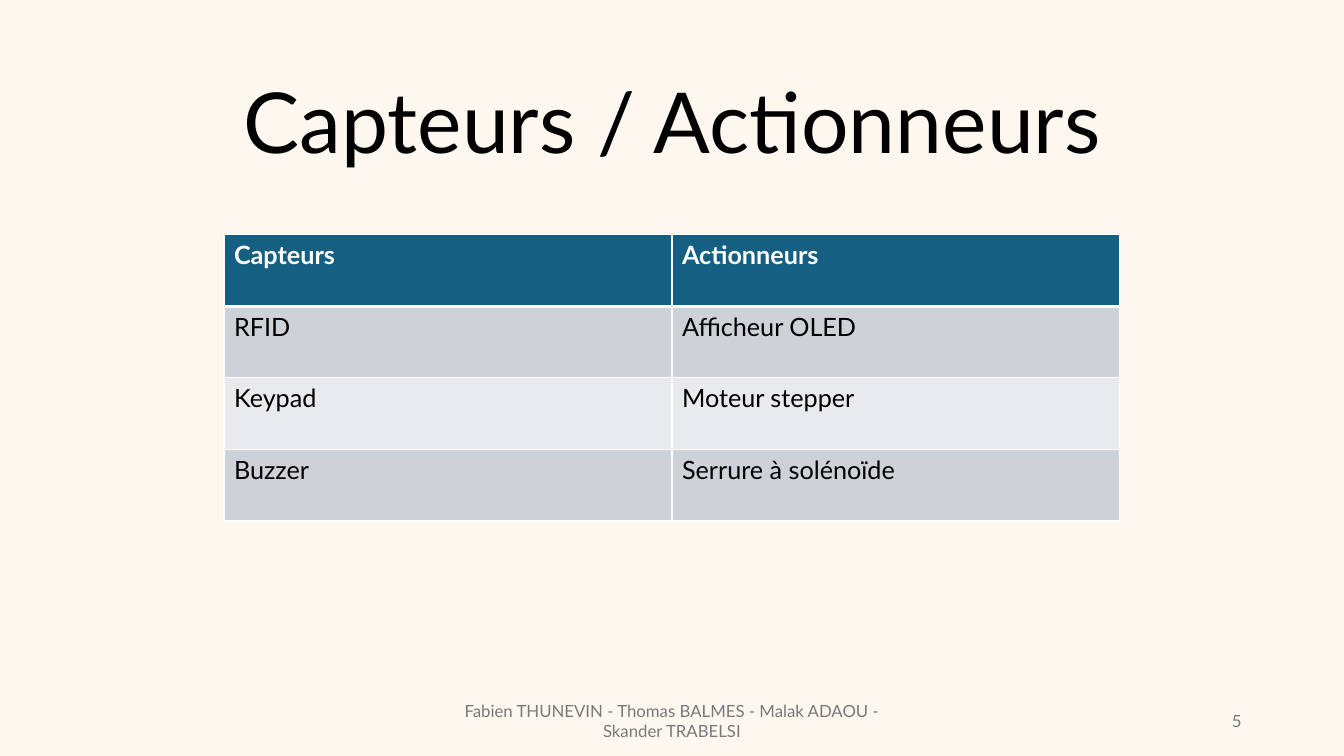
from lxml import etree
from pptx import Presentation
from pptx.dml.color import RGBColor
from pptx.enum.text import MSO_ANCHOR, PP_ALIGN
from pptx.oxml.ns import qn
from pptx.util import Pt

CENTER, RIGHT = PP_ALIGN.CENTER, PP_ALIGN.RIGHT
BOTTOM, MIDDLE = MSO_ANCHOR.BOTTOM, MSO_ANCHOR.MIDDLE
FONT = "Lato"
GREY = "797979"


def color(hex_string):
    return RGBColor.from_string(hex_string)


def add_run(paragraph, text, size, hex_string, bold=False):
    run = paragraph.add_run()
    run.text = text
    run.font.name = FONT
    run.font.size = Pt(size)
    run.font.bold = bold
    run.font.color.rgb = color(hex_string)


presentation = Presentation()
presentation.slide_width = Pt(960)
presentation.slide_height = Pt(540)
slide = presentation.slides.add_slide(presentation.slide_layouts[6])
slide.background.fill.solid()
slide.background.fill.fore_color.rgb = color("FEF7F0")

# Title, footer and slide number
texts = [
    ("Capteurs / Actionneurs", (120, 46.8, 720, 79.2), 60, "000000", CENTER, BOTTOM, 0.9),
    ("Fabien THUNEVIN - Thomas BALMES - Malak ADAOU - Skander TRABELSI",
     (318, 500.5, 324, 28.75), 12, GREY, CENTER, MIDDLE, 1),
    ("5", (678, 500.5, 216, 28.75), 12, GREY, RIGHT, MIDDLE, 1),
]
for text, box, size, text_color, alignment, anchor, line_spacing in texts:
    frame = slide.shapes.add_textbox(*[Pt(length) for length in box]).text_frame
    frame.word_wrap = True
    frame.vertical_anchor = anchor
    paragraph = frame.paragraphs[0]
    paragraph.alignment = alignment
    paragraph.line_spacing = line_spacing
    add_run(paragraph, text, size, text_color)

# Table of sensors and actuators
rows = [
    ("Capteurs", "Actionneurs"),
    ("RFID", "Afficheur OLED"),
    ("Keypad", "Moteur stepper"),
    ("Buzzer", "Serrure à solénoïde"),
]
table = slide.shapes.add_table(
    len(rows), 2, Pt(160), Pt(167.75), Pt(640), Pt(204.4)).table
for row_index, row in enumerate(rows):
    header = row_index == 0
    band = "CCD2D8" if row_index % 2 else "E8EAED"
    for column_index, text in enumerate(row):
        cell = table.cell(row_index, column_index)
        cell.fill.solid()
        cell.fill.fore_color.rgb = color("156082" if header else band)
        add_run(cell.text_frame.paragraphs[0], text, 18,
                "FFFFFF" if header else "000000", header)

        # White borders, thicker under the header
        widths = {"a:lnL": 1, "a:lnR": 1,
                  "a:lnT": 3 if row_index == 1 else 1,
                  "a:lnB": 3 if header else 1}
        properties = cell._tc.get_or_add_tcPr()
        for position, (side, width) in enumerate(widths.items()):
            border = etree.Element(qn(side), w=str(Pt(width)))
            fill = etree.SubElement(border, qn("a:solidFill"))
            etree.SubElement(fill, qn("a:srgbClr"), val="FFFFFF")
            properties.insert(position, border)

presentation.save("out.pptx")
